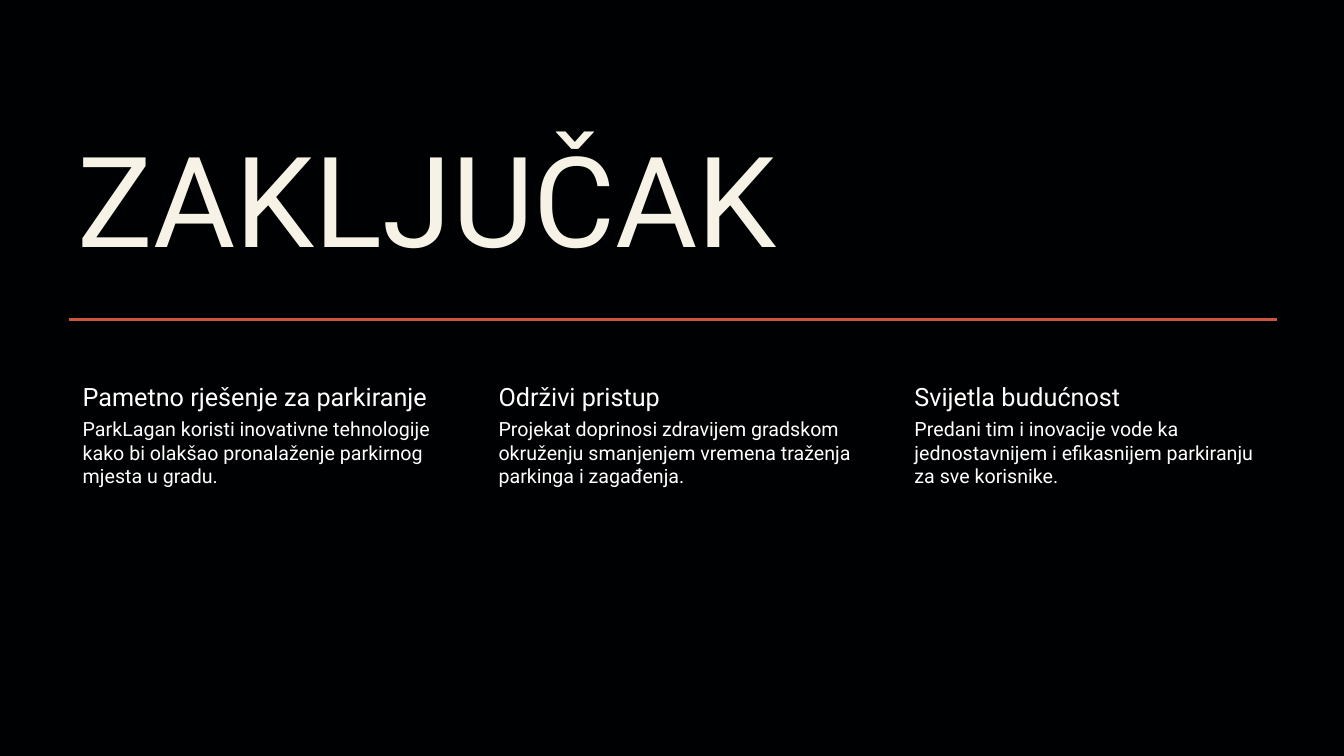
from lxml import etree
from pptx import Presentation
from pptx.dml.color import RGBColor
from pptx.enum.shapes import MSO_CONNECTOR
from pptx.enum.text import MSO_ANCHOR
from pptx.oxml.ns import qn
from pptx.util import Inches, Pt

STRAIGHT = MSO_CONNECTOR.STRAIGHT
TOP, BOTTOM = MSO_ANCHOR.TOP, MSO_ANCHOR.BOTTOM

BLACK = RGBColor(0x00, 0x01, 0x02)
RUST = RGBColor(0xCC, 0x56, 0x3B)
CREAM = RGBColor(0xF6, 0xF2, 0xE6)
WHITE = RGBColor(0xFF, 0xFF, 0xFF)
FONT = "Roboto"

LEFT = 0.67
COLUMN_STEP = 4.125
COLUMN_WIDTH = 3.75
CONCLUSIONS = [
    ("Pametno rješenje za parkiranje",
     "ParkLagan koristi inovativne tehnologije kako bi olakšao "
     "pronalaženje parkirnog mjesta u gradu."),
    ("Održivi pristup",
     "Projekat doprinosi zdravijem gradskom okruženju smanjenjem "
     "vremena traženja parkinga i zagađenja."),
    ("Svijetla budućnost",
     "Predani tim i inovacije vode ka jednostavnijem i efikasnijem "
     "parkiranju za sve korisnike."),
]

prs = Presentation()
prs.slide_width = Inches(13.33)
prs.slide_height = Inches(7.5)
slide = prs.slides.add_slide(prs.slide_layouts[6])
slide.background.fill.solid()
slide.background.fill.fore_color.rgb = BLACK


def add_text(text, box, insets, size, color, anchor=TOP, line_spacing=1.0):
    """Add a one-paragraph text box; box and insets are in inches."""
    frame = slide.shapes.add_textbox(*map(Inches, box)).text_frame
    frame.word_wrap = True
    frame.vertical_anchor = anchor
    (frame.margin_left, frame.margin_top,
     frame.margin_right, frame.margin_bottom) = map(Inches, insets)
    paragraph = frame.paragraphs[0]
    paragraph.line_spacing = line_spacing
    run = paragraph.add_run()
    run.text = text
    run.font.name = FONT
    run.font.size = Pt(size)
    run.font.color.rgb = color


divider = slide.shapes.add_connector(
    STRAIGHT, Inches(0.68), Inches(3.17), Inches(12.67), Inches(3.17))
divider.line.color.rgb = RUST
divider.line.width = Pt(2.5)
etree.SubElement(divider._element.spPr, qn("a:effectLst"))

add_text("ZAKLJUČAK", (LEFT, 0.75, 12, 2), (0.1, 0.05, 0.1, 0.05),
         90, CREAM, BOTTOM, 0.8)

for column, (heading, body) in enumerate(CONCLUSIONS):
    x = LEFT + column * COLUMN_STEP
    add_text(heading, (x, 3.75, COLUMN_WIDTH, 0.37),
             (0.15, 0.03, 0.03, 0.03), 18, WHITE)
    add_text(body, (x, 4.12, COLUMN_WIDTH, 2.56),
             (0.15, 0.02, 0.02, 0.02), 14, WHITE)

prs.save("out.pptx")
